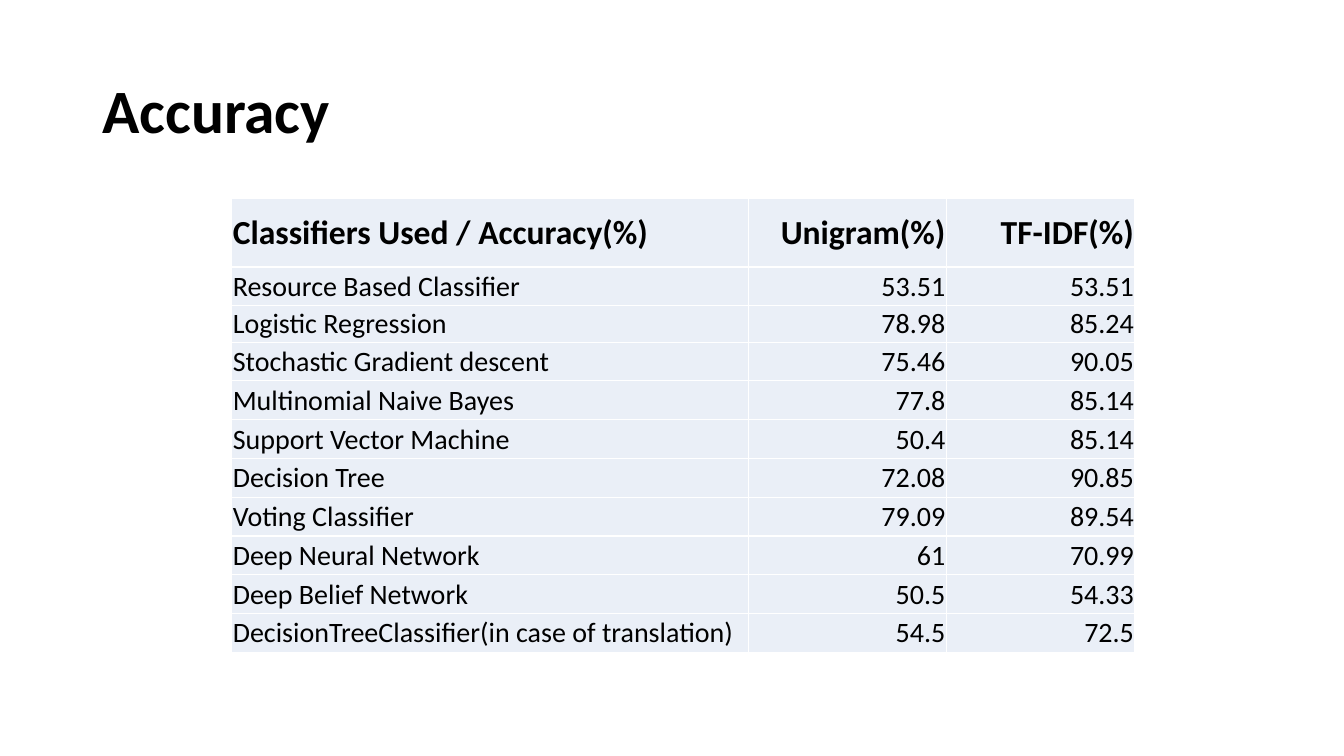
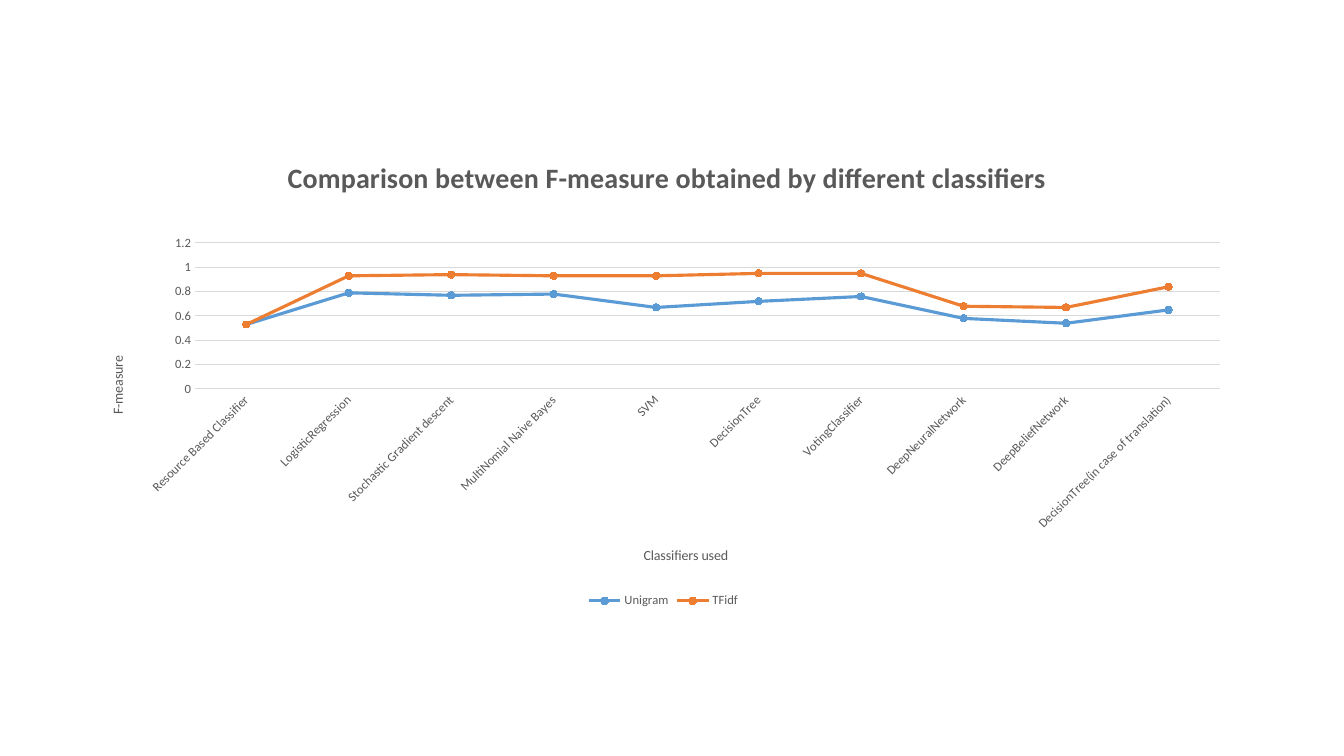
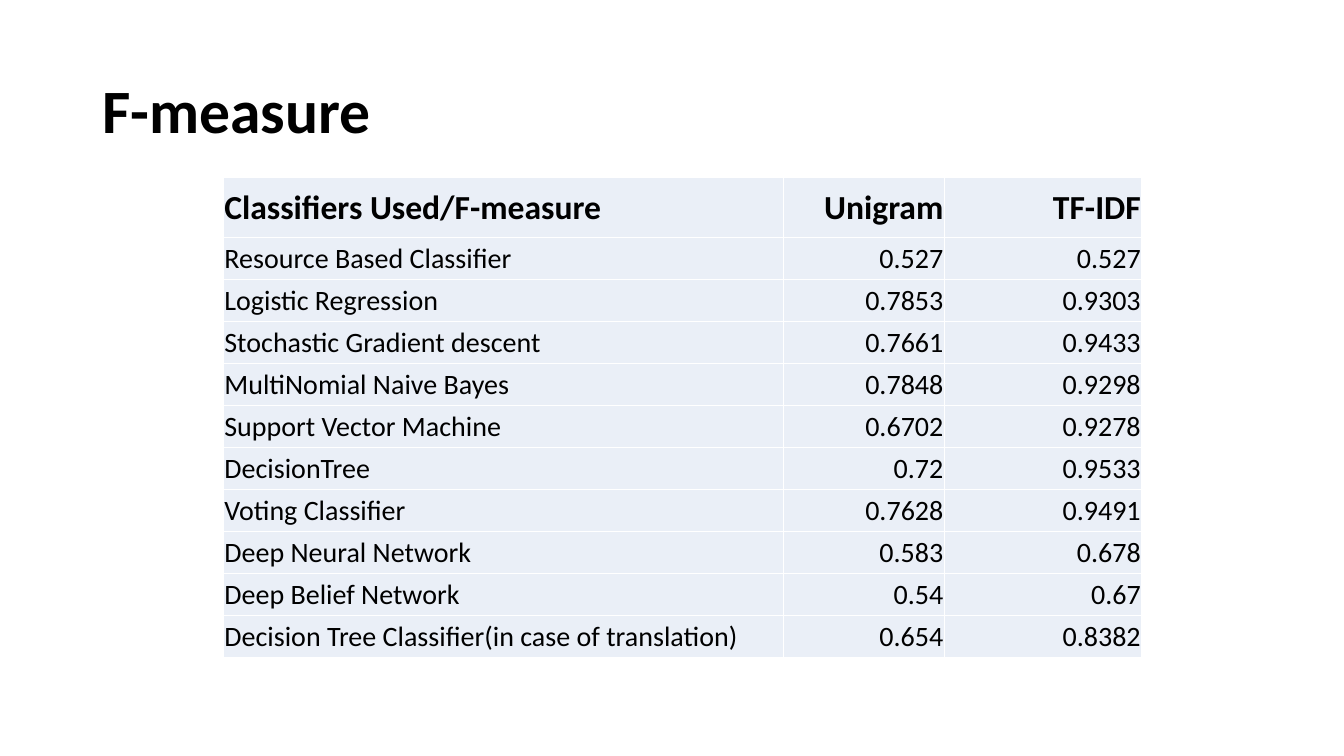
from dataclasses import dataclass

from pptx import Presentation
from pptx.chart.data import CategoryChartData
from pptx.dml.color import RGBColor
from pptx.enum.chart import XL_CHART_TYPE as ChartType
from pptx.enum.chart import XL_LEGEND_POSITION as LegendPosition
from pptx.enum.chart import XL_MARKER_STYLE as MarkerStyle
from pptx.enum.chart import XL_TICK_MARK as TickMark
from pptx.enum.text import MSO_ANCHOR as Anchor
from pptx.enum.text import PP_ALIGN as Align
from pptx.oxml import parse_xml
from pptx.oxml.ns import nsdecls, qn
from pptx.util import Pt


@dataclass(frozen=True)
class Theme:
    font: str = "Calibri"
    black: RGBColor = RGBColor(0x00, 0x00, 0x00)
    gray: RGBColor = RGBColor(0x59, 0x59, 0x59)
    grid: RGBColor = RGBColor(0xD9, 0xD9, 0xD9)
    cell: RGBColor = RGBColor(0xEA, 0xEF, 0xF7)
    border: str = "FFFFFF"
    series: tuple = (RGBColor(0x5B, 0x9B, 0xD5), RGBColor(0xED, 0x7D, 0x31))
    title: int = 44
    header: int = 24
    body: int = 20
    chart_title: int = 20
    axis_title: int = 10
    label: int = 9


theme = Theme()


def set_font(font, size, color, bold=False):
    font.name, font.size, font.bold = theme.font, Pt(size), bold
    font.color.rgb = color


def place(element, position, left, top, width=None, height=None):
    """Lay out a chart part at points measured from the chart's top left corner."""
    tags = {"x": left / CHART_WIDTH, "y": top / CHART_HEIGHT}
    modes = '<c:xMode val="edge"/><c:yMode val="edge"/>'
    if width:
        tags.update(w=width / CHART_WIDTH, h=height / CHART_HEIGHT)
        modes = '<c:layoutTarget val="inner"/>' + modes
    values = "".join(f'<c:{tag} val="{value:.4f}"/>' for tag, value in tags.items())
    for layout in element.findall(qn("c:layout")):
        element.remove(layout)
    element.insert(position, parse_xml(
        f'<c:layout {nsdecls("c")}><c:manualLayout>{modes}{values}</c:manualLayout></c:layout>'))


ACCURACY = [
    ("Classifiers Used / Accuracy(%)", "Unigram(%)", "TF-IDF(%)"),
    ("Resource Based Classifier", 53.51, 53.51),
    ("Logistic Regression", 78.98, 85.24),
    ("Stochastic Gradient descent", 75.46, 90.05),
    ("Multinomial Naive Bayes", 77.8, 85.14),
    ("Support Vector Machine", 50.4, 85.14),
    ("Decision Tree", 72.08, 90.85),
    ("Voting Classifier", 79.09, 89.54),
    ("Deep Neural Network", 61, 70.99),
    ("Deep Belief Network", 50.5, 54.33),
    ("DecisionTreeClassifier(in case of translation)", 54.5, 72.5),
]
F_MEASURE = [
    ("Classifiers Used/F-measure", "Unigram", "TF-IDF"),
    ("Resource Based Classifier", 0.527, 0.527),
    ("Logistic Regression", 0.7853, 0.9303),
    ("Stochastic Gradient descent", 0.7661, 0.9433),
    ("MultiNomial Naive Bayes", 0.7848, 0.9298),
    ("Support Vector Machine", 0.6702, 0.9278),
    ("DecisionTree", 0.72, 0.9533),
    ("Voting Classifier", 0.7628, 0.9491),
    ("Deep Neural Network", 0.583, 0.678),
    ("Deep Belief Network", 0.54, 0.67),
    ("Decision Tree Classifier(in case of translation)", 0.654, 0.8382),
]
CHART_CATEGORIES = [
    "Resource Based Classifier", "LogisticRegression", "Stochastic Gradient descent",
    "MultiNomial Naive Bayes", "SVM", "DecisionTree", "VotingClassifier",
    "DeepNeuralNetwork", "DeepBeliefNetwork", "DecisionTree(in case of translation)",
]
CHART_WIDTH, CHART_HEIGHT = 828, 343

presentation = Presentation()
presentation.slide_width, presentation.slide_height = Pt(960), Pt(540)
blank = presentation.slide_layouts[6]
accuracy_slide, chart_slide, f_measure_slide = [
    presentation.slides.add_slide(blank) for _ in range(3)]

# Table slides
table_slides = [
    (accuracy_slide, "Accuracy", ACCURACY, (165.6, 142),
     (369.3, 141.1, 134.7), [48.7, 27.7, 26] + [27.7] * 8),
    (f_measure_slide, "F-measure", F_MEASURE, (159.6, 127),
     (400, 115, 141), [42.6] + [30] * 10),
]
for slide, title, rows, (left, top), widths, heights in table_slides:
    frame = slide.shapes.add_textbox(Pt(66), Pt(28.8), Pt(828), Pt(104.4)).text_frame
    frame.word_wrap = True
    frame.vertical_anchor = Anchor.MIDDLE
    paragraph = frame.paragraphs[0]
    paragraph.text = title
    paragraph.line_spacing = 0.9
    set_font(paragraph.font, theme.title, theme.black, bold=True)

    table = slide.shapes.add_table(
        len(rows), len(widths), Pt(left), Pt(top), Pt(sum(widths)), Pt(sum(heights))).table
    table.horz_banding = False
    for column, width in zip(table.columns, widths):
        column.width = Pt(width)
    for row_index, (values, height) in enumerate(zip(rows, heights)):
        table.rows[row_index].height = Pt(height)
        is_header = row_index == 0
        for column_index, value in enumerate(values):
            cell = table.cell(row_index, column_index)
            cell.margin_left = cell.margin_right = cell.margin_top = Pt(0.7)
            cell.margin_bottom = Pt(0)
            cell.vertical_anchor = Anchor.MIDDLE
            paragraph = cell.text_frame.paragraphs[0]
            paragraph.text = str(value)
            paragraph.alignment = Align.RIGHT if column_index else Align.LEFT
            set_font(paragraph.font, theme.header if is_header else theme.body,
                     theme.black, bold=is_header)
            properties = cell._tc.get_or_add_tcPr()
            for side in ("lnL", "lnR", "lnT", "lnB"):
                properties.append(parse_xml(
                    f'<a:{side} {nsdecls("a")} w="12700"><a:solidFill>'
                    f'<a:srgbClr val="{theme.border}"/></a:solidFill></a:{side}>'))
            cell.fill.solid()
            cell.fill.fore_color.rgb = theme.cell

# Chart slide
chart_data = CategoryChartData()
chart_data.categories = CHART_CATEGORIES
for column_index, name in enumerate(("Unigram", "TFidf"), start=1):
    chart_data.add_series(name, [round(row[column_index], 2) for row in F_MEASURE[1:]])
chart = chart_slide.shapes.add_chart(
    ChartType.LINE_MARKERS, Pt(59.8), Pt(94.3), Pt(CHART_WIDTH), Pt(CHART_HEIGHT),
    chart_data).chart
set_font(chart.font, theme.label, theme.gray)
chart.has_legend = True
chart.legend.position = LegendPosition.BOTTOM
chart.legend.include_in_layout = False
set_font(chart.legend.font, theme.label, theme.gray)

plot = chart.plots[0]
plot.vary_by_categories = False
for series, color in zip(plot.series, theme.series):
    series.smooth = False
    series.format.line.color.rgb = color
    series.format.line.width = Pt(2.25)
    series.marker.style = MarkerStyle.CIRCLE
    series.marker.size = 5
    series.marker.format.fill.solid()
    series.marker.format.fill.fore_color.rgb = color
    series.marker.format.line.color.rgb = color

category_axis, value_axis = chart.category_axis, chart.value_axis
for axis in (category_axis, value_axis):
    axis.major_tick_mark = axis.minor_tick_mark = TickMark.NONE
    set_font(axis.tick_labels.font, theme.label, theme.gray)
category_axis.format.line.color.rgb = theme.grid
category_axis.format.line.width = Pt(0.75)
category_axis._element.find(qn("c:txPr")).find(qn("a:bodyPr")).set("rot", "-2700000")
value_axis.format.line.fill.background()
value_axis.minimum_scale, value_axis.maximum_scale, value_axis.major_unit = 0, 1.2, 0.2
value_axis.tick_labels.number_format = "General"
value_axis.tick_labels.number_format_is_linked = False
value_axis.major_gridlines.format.line.color.rgb = theme.grid
value_axis.major_gridlines.format.line.width = Pt(0.75)

chart_titles = [
    (chart.chart_title, "Comparison between F-measure obtained by different classifiers",
     theme.chart_title, True, 142, 15),
    (category_axis.axis_title, "Classifiers used", theme.axis_title, False, 398, 294),
    (value_axis.axis_title, "F-measure", theme.axis_title, False, 16, 158),
]
for chart_title, text, size, bold, left, top in chart_titles:
    paragraph = chart_title.text_frame.paragraphs[0]
    paragraph.text = text
    set_font(paragraph.font, size, theme.gray, bold)
    place(chart_title._element, 1, left, top)
value_title_body = value_axis.axis_title.text_frame._txBody.find(qn("a:bodyPr"))
value_title_body.set("rot", "-5400000")
value_title_body.set("vert", "horz")
place(chart._chartSpace.chart.plotArea, 0, 79.5, 79.3, 732, 104.3)

presentation.save("out.pptx")
